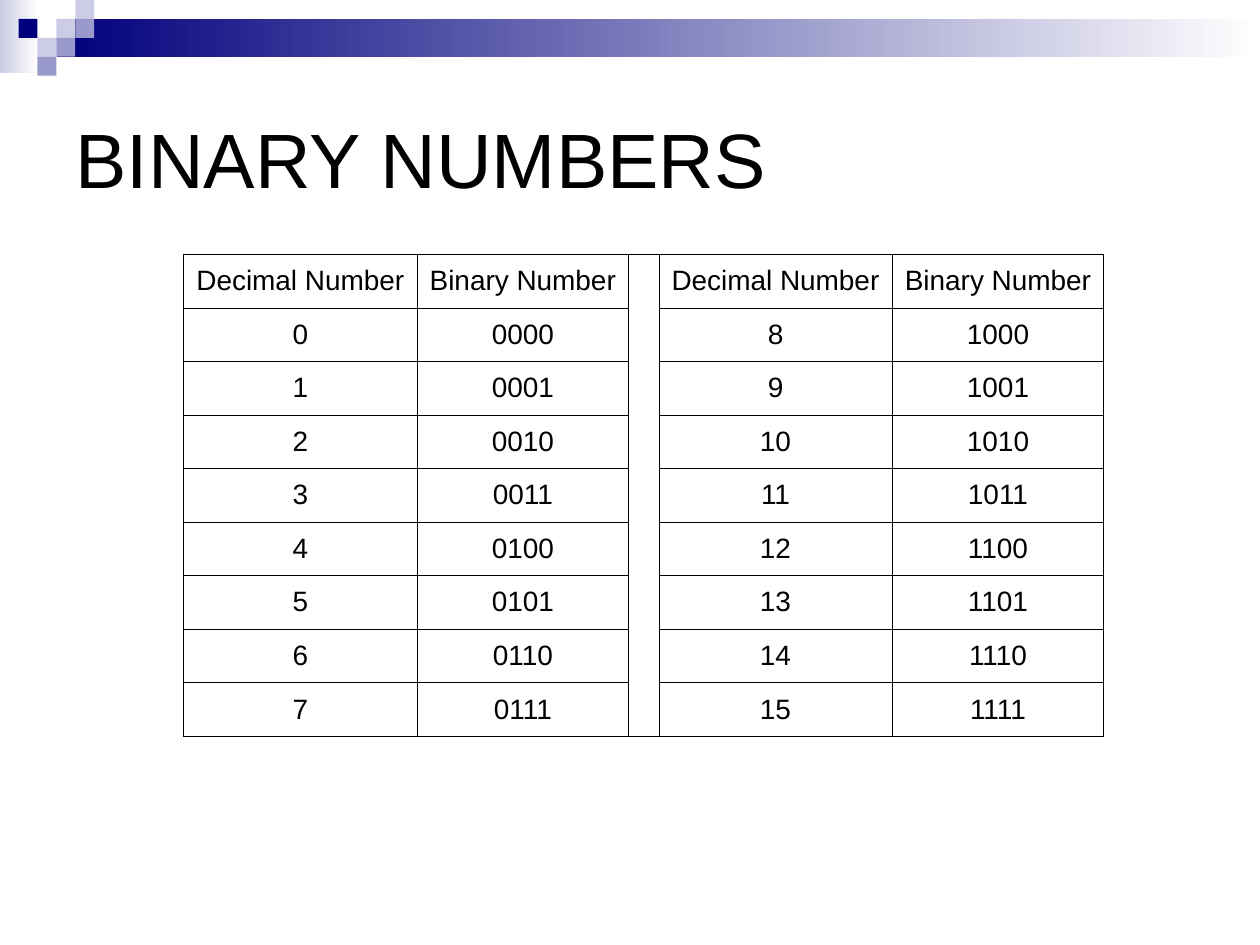
from lxml.etree import SubElement
from pptx import Presentation
from pptx.dml.color import RGBColor
from pptx.enum.shapes import MSO_SHAPE
from pptx.enum.text import MSO_ANCHOR, PP_ALIGN
from pptx.oxml.ns import qn
from pptx.util import Pt

TITLE = "BINARY NUMBERS"
HEADERS = ["Decimal Number", "Binary Number"]
ROWS = [HEADERS + [""] + HEADERS] + [
    [str(n), f"{n:04b}", "", str(n + 8), f"{n + 8:04b}"] for n in range(8)
]
COL_WIDTHS = [133.3, 121, 17.1, 133.3, 121]
TABLE_LEFT, TABLE_TOP, ROW_HEIGHT = 105, 145.4, 30.6
GAP_COL = 2

NAVY, BLUE, PALE, WHITE, BLACK = "00007D", "9999CC", "CCCCE6", "FFFFFF", "000000"
BANDS = [(0, 0, 22.3, 41.8, PALE), (32.4, 10.8, 687.6, 21.6, NAVY)]
UNIT = 10.8
SQUARES = [
    (3, 1, PALE), (4, 0, PALE), (4, 1, BLUE), (2, 2, PALE),
    (1, 1, NAVY), (3, 2, BLUE), (2, 3, BLUE),
]


def rgb(value):
    return RGBColor.from_string(value)


def add_rect(slide, left, top, width, height):
    sp = slide.shapes.add_shape(
        MSO_SHAPE.RECTANGLE, Pt(left), Pt(top), Pt(width), Pt(height))
    sp.shadow.inherit = False
    sp.line.fill.background()
    return sp


def style_text(p, size, align):
    p.alignment = align
    for r in p.runs:
        r.font.name = "Arial"
        r.font.size = Pt(size)
        r.font.color.rgb = rgb(BLACK)


def set_borders(cell, sides):
    tcPr = cell._tc.get_or_add_tcPr()
    for side in "LRTB":
        ln = SubElement(tcPr, qn(f"a:ln{side}"), w=str(Pt(0.45)))
        if side in sides:
            fill = SubElement(ln, qn("a:solidFill"))
            SubElement(fill, qn("a:srgbClr"), val=BLACK)
        else:
            SubElement(ln, qn("a:noFill"))


def add_decoration(slide):
    for left, top, width, height, color in BANDS:
        sp = add_rect(slide, left, top, width, height)
        sp.fill.gradient()
        sp.fill.gradient_angle = 0
        for stop, stop_color in zip(sp.fill.gradient_stops, (color, WHITE)):
            stop.color.rgb = rgb(stop_color)
    for col, row, color in SQUARES:
        sp = add_rect(slide, col * UNIT - 0.2, row * UNIT, UNIT, UNIT)
        sp.fill.solid()
        sp.fill.fore_color.rgb = rgb(color)


def add_title(slide):
    title = slide.shapes.title
    title.left, title.top, title.width, title.height = Pt(36), Pt(36), Pt(648), Pt(108)
    tf = title.text_frame
    tf.text = TITLE
    tf.vertical_anchor = MSO_ANCHOR.MIDDLE
    style_text(tf.paragraphs[0], 44, PP_ALIGN.LEFT)


def add_number_table(slide):
    table = slide.shapes.add_table(
        len(ROWS), len(COL_WIDTHS), Pt(TABLE_LEFT), Pt(TABLE_TOP),
        Pt(sum(COL_WIDTHS)), Pt(ROW_HEIGHT * len(ROWS))).table
    table.first_row = table.horz_banding = False
    for col, width in zip(table.columns, COL_WIDTHS):
        col.width = Pt(width)
    for i, values in enumerate(ROWS):
        table.rows[i].height = Pt(ROW_HEIGHT)
        for j, value in enumerate(values):
            cell = table.cell(i, j)
            sides = "LRTB"
            if j == GAP_COL:
                sides = "LR" + "T" * (i == 0) + "B" * (i == len(ROWS) - 1)
            set_borders(cell, sides)
            cell.fill.background()
            cell.vertical_anchor = MSO_ANCHOR.MIDDLE
            if value:
                cell.text_frame.text = value
                style_text(cell.text_frame.paragraphs[0], 16, PP_ALIGN.CENTER)


def main():
    prs = Presentation()
    prs.slide_width, prs.slide_height = Pt(720), Pt(540)
    slide = prs.slides.add_slide(prs.slide_layouts[5])
    add_decoration(slide)
    add_title(slide)
    add_number_table(slide)
    prs.save("out.pptx")


if __name__ == "__main__":
    main()
